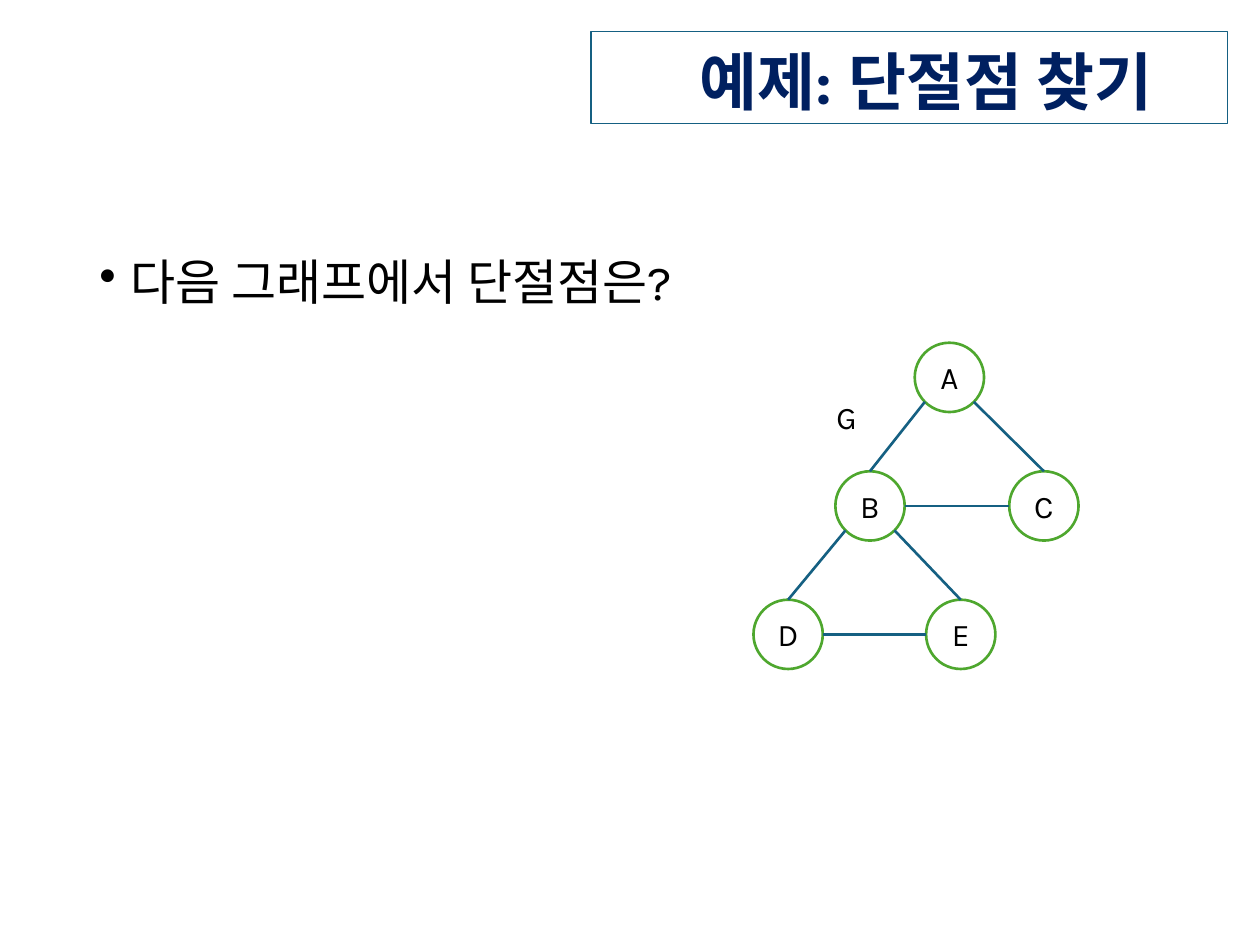
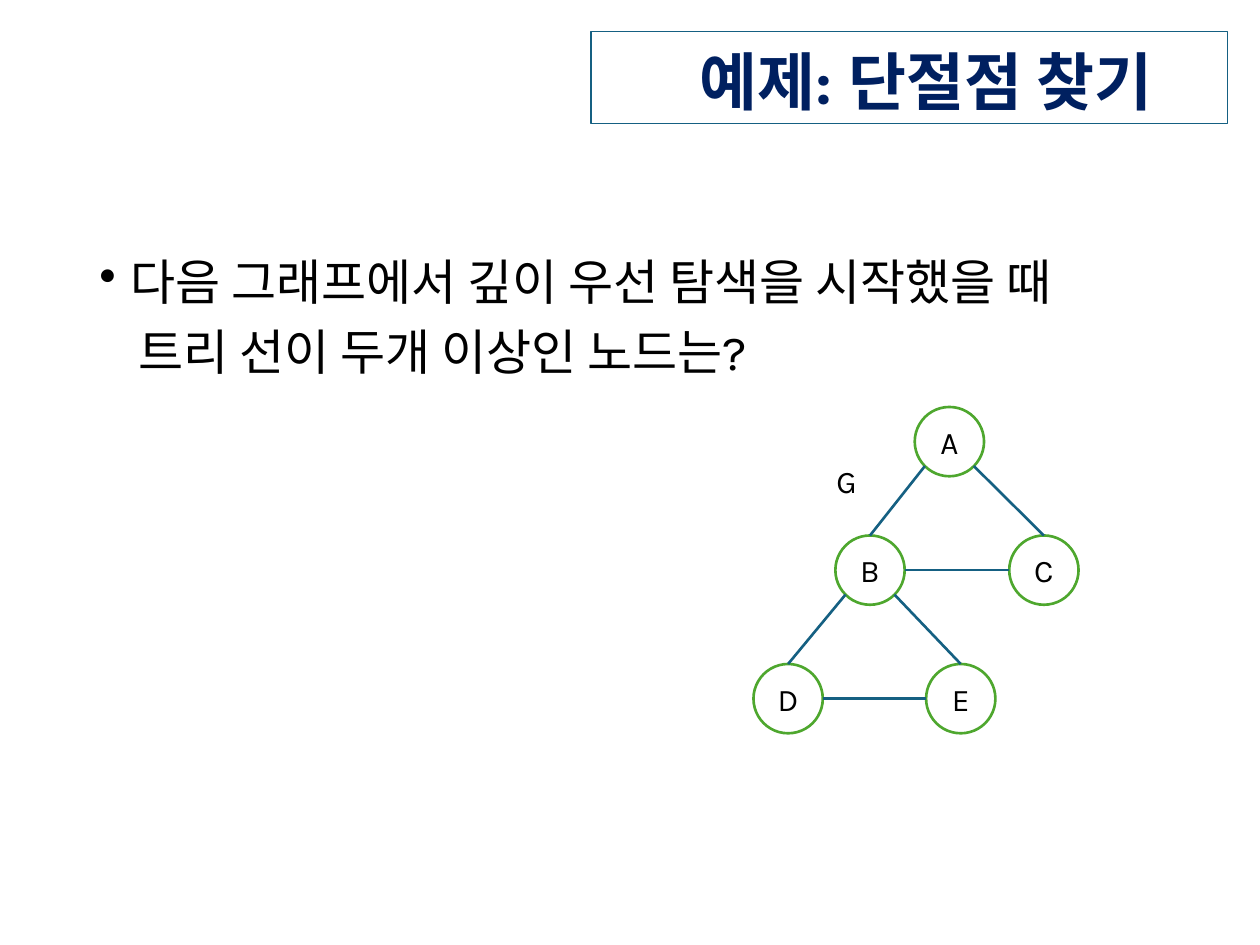
import math

import lxml.etree
import pptx
import pptx.dml.color
import pptx.enum.shapes
import pptx.enum.text
import pptx.oxml.ns
import pptx.util
from pptx.util import Inches

FONT = "Karla"
NAVY, TEAL, GREEN, BLACK, WHITE = "002060", "156082", "4EA72E", "000000", "FFFFFF"

TITLE = "예제: 단절점 찾기"
NODE_SIZE = 0.55
ROW_STEP = 1.02
NODES = {"A": (7.26, 0), "B": (6.63, 1), "C": (8.01, 1), "D": (5.98, 2), "E": (7.35, 2)}
# Each edge: first node, angle where it leaves, second node, angle where it arrives
EDGES = [
    ("A", 135, "B", 270),
    ("A", 45, "C", 270),
    ("B", 0, "C", 180),
    ("B", 135, "D", 270),
    ("B", 45, "E", 270),
    ("D", 0, "E", 180),
]
SLIDES = [
    (["다음 그래프에서 단절점은?"], 2.72),
    (["다음 그래프에서 깊이 우선 탐색을 시작했을 때", "트리 선이 두개 이상인 노드는?"], 3.23),
]


def color(hex_string):
    return pptx.dml.color.RGBColor.from_string(hex_string)


class Deck:
    def __init__(self):
        self.presentation = pptx.Presentation()
        self.presentation.slide_width = Inches(10)
        self.presentation.slide_height = Inches(7.5)
        self.slide = None

    def add_slide(self):
        self.slide = self.presentation.slides.add_slide(self.presentation.slide_layouts[6])

    def style_paragraph(self, paragraph, size, hex_string=BLACK, bold=False):
        paragraph.font.name = FONT
        paragraph.font.size = pptx.util.Pt(size)
        paragraph.font.bold = bold
        paragraph.font.color.rgb = color(hex_string)

    def add_outlined_shape(self, kind, left, top, width, height, line, line_width):
        shape = self.slide.shapes.add_shape(
            kind, Inches(left), Inches(top), Inches(width), Inches(height))
        shape.shadow.inherit = False
        shape.fill.solid()
        shape.fill.fore_color.rgb = color(WHITE)
        shape.line.color.rgb = color(line)
        shape.line.width = pptx.util.Pt(line_width)
        shape.text_frame.vertical_anchor = pptx.enum.text.MSO_ANCHOR.MIDDLE
        return shape

    def add_title(self, text):
        shape = self.add_outlined_shape(
            pptx.enum.shapes.MSO_SHAPE.RECTANGLE, 4.69, 0.25, 5.05, 0.73, TEAL, 0.75)
        frame = shape.text_frame
        frame.word_wrap = True
        frame.margin_top, frame.margin_bottom = Inches(0.12), 0
        frame.margin_right = Inches(0.59)
        paragraph = frame.paragraphs[0]
        paragraph.text = text
        paragraph.alignment = pptx.enum.text.PP_ALIGN.RIGHT
        paragraph.line_spacing = 0.9
        self.style_paragraph(paragraph, 36, NAVY, bold=True)

    def add_question(self, lines):
        """Write a bulleted first line, with any further lines indented below it."""
        frame = self.slide.shapes.add_textbox(
            Inches(0.69), Inches(2), Inches(9.31), Inches(4.76)).text_frame
        frame.word_wrap = True
        for number, line in enumerate(lines):
            paragraph = frame.paragraphs[0] if number == 0 else frame.add_paragraph()
            paragraph.text = line
            paragraph.line_spacing = 0.9
            properties = paragraph._p.get_or_add_pPr()
            if number == 0:
                properties.set("marL", str(Inches(0.25)))
                properties.set("indent", str(Inches(-0.25)))
                bullet = lxml.etree.SubElement(properties, pptx.oxml.ns.qn("a:buChar"))
                bullet.set("char", "•")
            else:
                properties.set("marL", str(Inches(0.31)))
                paragraph.space_before = pptx.util.Pt(10)
            self.style_paragraph(paragraph, 28)

    def add_node(self, name, left, top):
        shape = self.add_outlined_shape(
            pptx.enum.shapes.MSO_SHAPE.OVAL, left, top, NODE_SIZE, NODE_SIZE, GREEN, 1.5)
        paragraph = shape.text_frame.paragraphs[0]
        paragraph.text = name
        paragraph.alignment = pptx.enum.text.PP_ALIGN.CENTER
        self.style_paragraph(paragraph, 18)

    def add_edge(self, start, end):
        connector = self.slide.shapes.add_connector(
            pptx.enum.shapes.MSO_CONNECTOR.STRAIGHT,
            *(Inches(length) for length in (*start, *end)))
        connector.line.color.rgb = color(TEAL)
        connector.line.width = pptx.util.Pt(1.5)
        lxml.etree.SubElement(connector._element.spPr, pptx.oxml.ns.qn("a:effectLst"))

    def add_label(self, text, left, top):
        frame = self.slide.shapes.add_textbox(
            Inches(left), Inches(top), Inches(0.38), Inches(0.4)).text_frame
        frame.word_wrap = False
        frame.paragraphs[0].text = text
        self.style_paragraph(frame.paragraphs[0], 18)

    def add_graph(self, top):
        corners = {name: (left, top + row * ROW_STEP) for name, (left, row) in NODES.items()}
        for name, corner in corners.items():
            self.add_node(name, *corner)
        for first, leaving, second, arriving in EDGES:
            self.add_edge(rim_point(corners[first], leaving), rim_point(corners[second], arriving))
        self.add_label("G", 6.54, top + 0.39)


def rim_point(corner, angle):
    """Return the point on a node's circle, in degrees clockwise from the right."""
    radius = NODE_SIZE / 2
    left, top = corner
    return (left + radius + radius * math.cos(math.radians(angle)),
            top + radius + radius * math.sin(math.radians(angle)))


def main():
    deck = Deck()
    for question, graph_top in SLIDES:
        deck.add_slide()
        deck.add_title(TITLE)
        deck.add_question(question)
        deck.add_graph(graph_top)
    deck.presentation.save("out.pptx")


if __name__ == "__main__":
    main()
